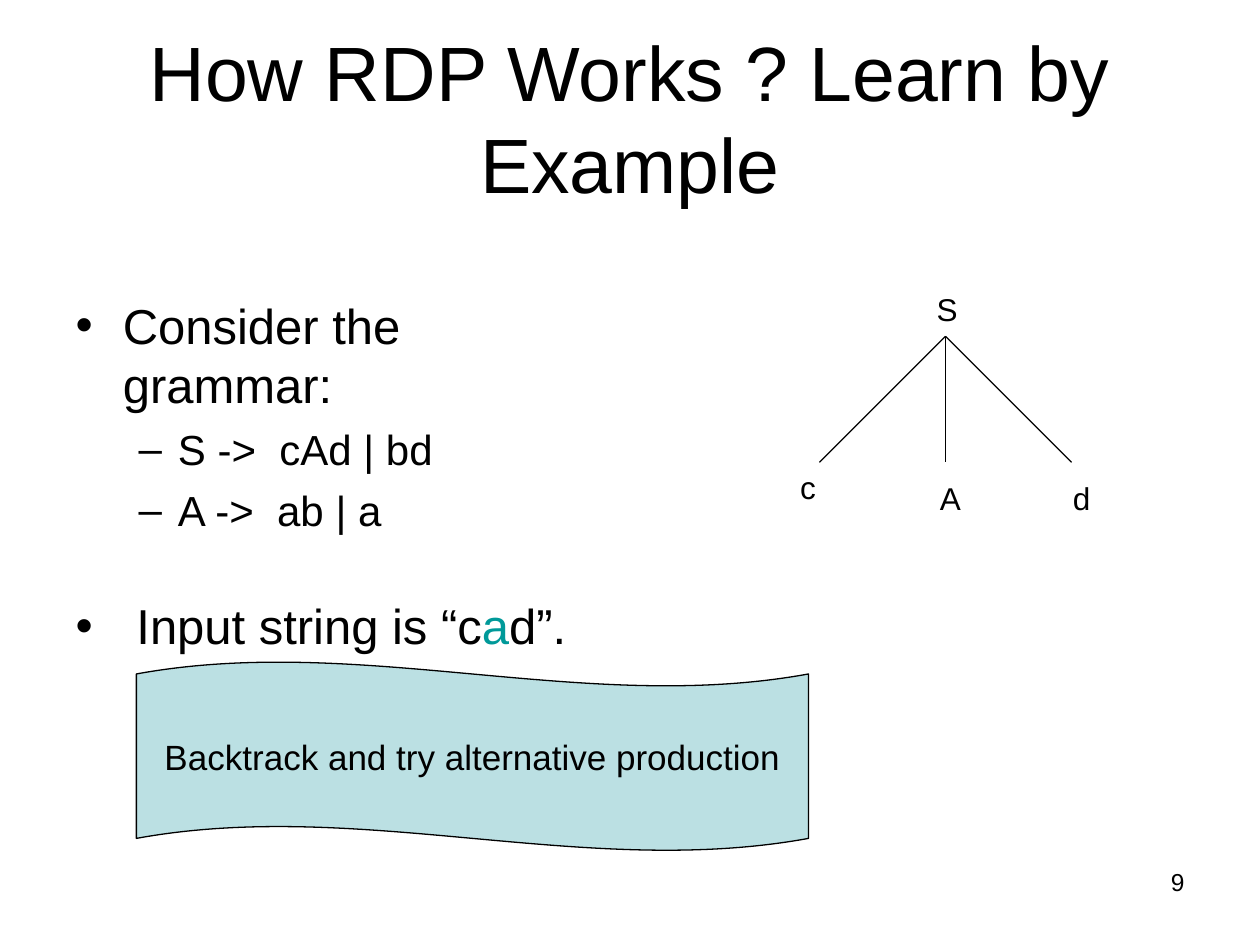
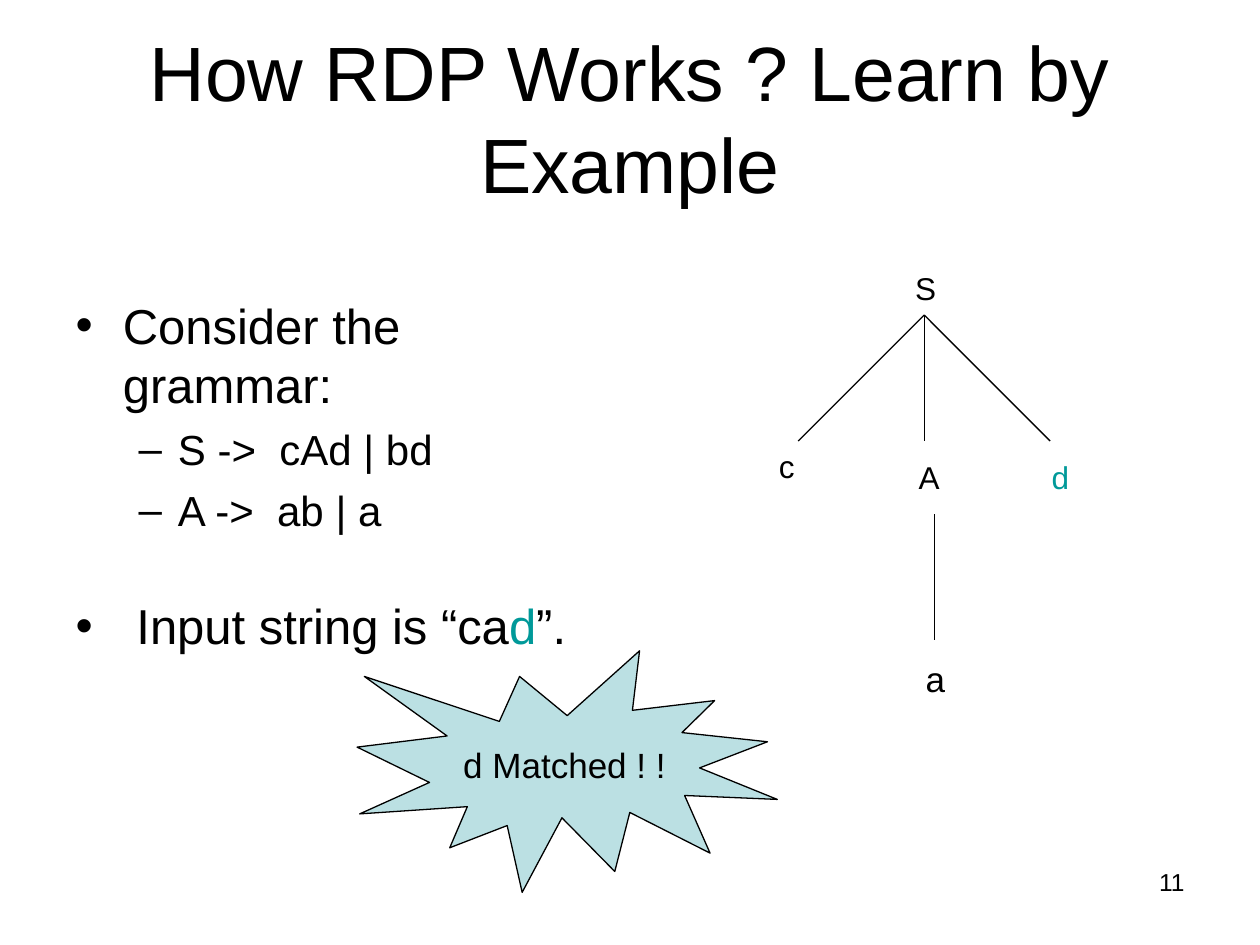
from pptx import Presentation
from pptx import util as u
from pptx.dml.color import RGBColor
from pptx.enum import shapes, text
from pptx.oxml import xmlchemy
from pptx.oxml.ns import qn

BLACK = RGBColor(0x00, 0x00, 0x00)
TEAL = RGBColor(0x00, 0x99, 0x99)
PALE_BLUE = RGBColor(0xBB, 0xE0, 0xE3)
FONT = "Arial"
LINE_WIDTH = u.Pt(0.75)

# Boxes are (left, top, width, height) in centimetres
TITLE_BOX = (1.27, 0.76, 22.86, 3.18)
BODY_BOX = (1.27, 4.45, 11.23, 12.57)
NUMBER_BOX = (18.2, 17.36, 5.93, 1.32)

TITLE = "How RDP Works ? Learn by Example"
# Level, size, space before, text
GRAMMAR = [
    (0, 28, 7, "Consider the grammar:"),
    (1, 24, 6, "S ->  cAd | bd"),
    (1, 24, 6, "A ->  ab | a"),
]
INPUT_SPACE_BEFORE = 34.6
BRANCH = 2.54


def to_cm(box):
    return [u.Cm(length) for length in box]


def format_run(run, size, color=BLACK):
    run.font.name = FONT
    run.font.size = u.Pt(size)
    run.font.color.rgb = color


def place(shape, box):
    shape.left, shape.top, shape.width, shape.height = to_cm(box)
    shape.text_frame.auto_size = text.MSO_AUTO_SIZE.NONE


def add_label(container, box, words, size, color=BLACK, align=text.PP_ALIGN.LEFT):
    frame = container.add_textbox(*to_cm(box)).text_frame
    frame.word_wrap = True
    frame.text = words
    paragraph = frame.paragraphs[0]
    paragraph.alignment = align
    format_run(paragraph.runs[0], size, color)


def add_branch(container, start, end):
    line = container.add_connector(shapes.MSO_CONNECTOR.STRAIGHT, *to_cm(start + end))
    line.line.color.rgb = BLACK
    line.line.width = LINE_WIDTH
    properties = line._element.spPr
    properties.append(xmlchemy.OxmlElement("a:effectLst"))


def add_title(slide):
    title = slide.shapes.title
    place(title, TITLE_BOX)
    title.text_frame.text = TITLE
    format_run(title.text_frame.paragraphs[0].runs[0], 44)


def add_body(slide, read, current, rest):
    """Grammar rules, then the input string with its current symbol in teal."""
    body = slide.placeholders[1]
    place(body, BODY_BOX)
    frame = body.text_frame
    frame.margin_top = u.Cm(1.51)
    frame.text = "\n".join(words for *_, words in GRAMMAR)
    for paragraph, (level, size, space, _) in zip(frame.paragraphs, GRAMMAR):
        paragraph.level = level
        paragraph.space_before = u.Pt(space)
        format_run(paragraph.runs[0], size)

    paragraph = frame.add_paragraph()
    paragraph.space_before = u.Pt(INPUT_SPACE_BEFORE)
    pieces = [(f" Input string is “{read}", BLACK), (current, TEAL), (f"{rest}”.", BLACK)]
    for words, color in pieces:
        run = paragraph.add_run()
        run.text = words
        format_run(run, 28, color)


def add_parse_tree(slide, left, top, d_color=BLACK, expanded=False):
    """Tree for S -> cAd; when expanded, A also derives a."""
    tree = slide.shapes.add_group_shape().shapes
    apex = (left + 3.18, top + 1.06)
    for step in (-BRANCH, 0, BRANCH):
        add_branch(tree, apex, (apex[0] + step, apex[1] + BRANCH))

    center = text.PP_ALIGN.CENTER
    add_label(tree, (left + 2.75, top, 3.39, 1.02), "S", 18)
    add_label(tree, (left, top + 3.6, 1.06, 1.02), "c", 18)
    add_label(tree, (left + 2.54, top + 3.81, 1.48, 1.02), "A", 18, align=center)
    add_label(tree, (left + 5.5, top + 3.81, 1.06, 1.02), "d", 18, d_color)
    if expanded:
        stem = left + 3.39
        add_branch(tree, (stem, top + 5.08), (stem, top + 5.08 + BRANCH))
        add_label(tree, (left + 2.96, top + 7.84, 1.06, 1.12), "a", 20)


def add_callout(slide, kind, box, words):
    callout = slide.shapes.add_shape(kind, *to_cm(box))
    callout.shadow.inherit = False
    callout.fill.solid()
    callout.fill.fore_color.rgb = PALE_BLUE
    callout.line.color.rgb = BLACK
    callout.line.width = LINE_WIDTH
    frame = callout.text_frame
    frame.word_wrap = False
    frame.vertical_anchor = text.MSO_ANCHOR.MIDDLE
    frame.text = words
    frame.paragraphs[0].alignment = text.PP_ALIGN.CENTER
    format_run(frame.paragraphs[0].runs[0], 20)
    return callout


def add_example_slide(presentation, number, input_parts):
    slide = presentation.slides.add_slide(presentation.slide_layouts[1])
    add_title(slide)
    add_body(slide, *input_parts)
    add_label(slide.shapes, NUMBER_BOX, str(number), 14, align=text.PP_ALIGN.RIGHT)
    return slide


def add_backtrack_slide(presentation):
    slide = add_example_slide(presentation, 9, ("c", "a", "d"))
    add_parse_tree(slide, 15.88, 5.72)
    wave = add_callout(slide, shapes.MSO_SHAPE.WAVE, (2.75, 13.34, 13.55, 3.81),
                       "Backtrack and try alternative production")
    wave.adjustments[0] = 0.065


def add_match_slide(presentation):
    slide = add_example_slide(presentation, 11, ("ca", "d", ""))
    add_callout(slide, shapes.MSO_SHAPE.EXPLOSION1, (7.2, 13.12, 8.47, 4.87),
                "d Matched ! !")
    add_parse_tree(slide, 15.45, 5.29, d_color=TEAL, expanded=True)


def main():
    presentation = Presentation()
    presentation.slide_width = u.Cm(25.4)
    presentation.slide_height = u.Cm(19.05)
    add_backtrack_slide(presentation)
    add_match_slide(presentation)
    presentation.save("out.pptx")


if __name__ == "__main__":
    main()
